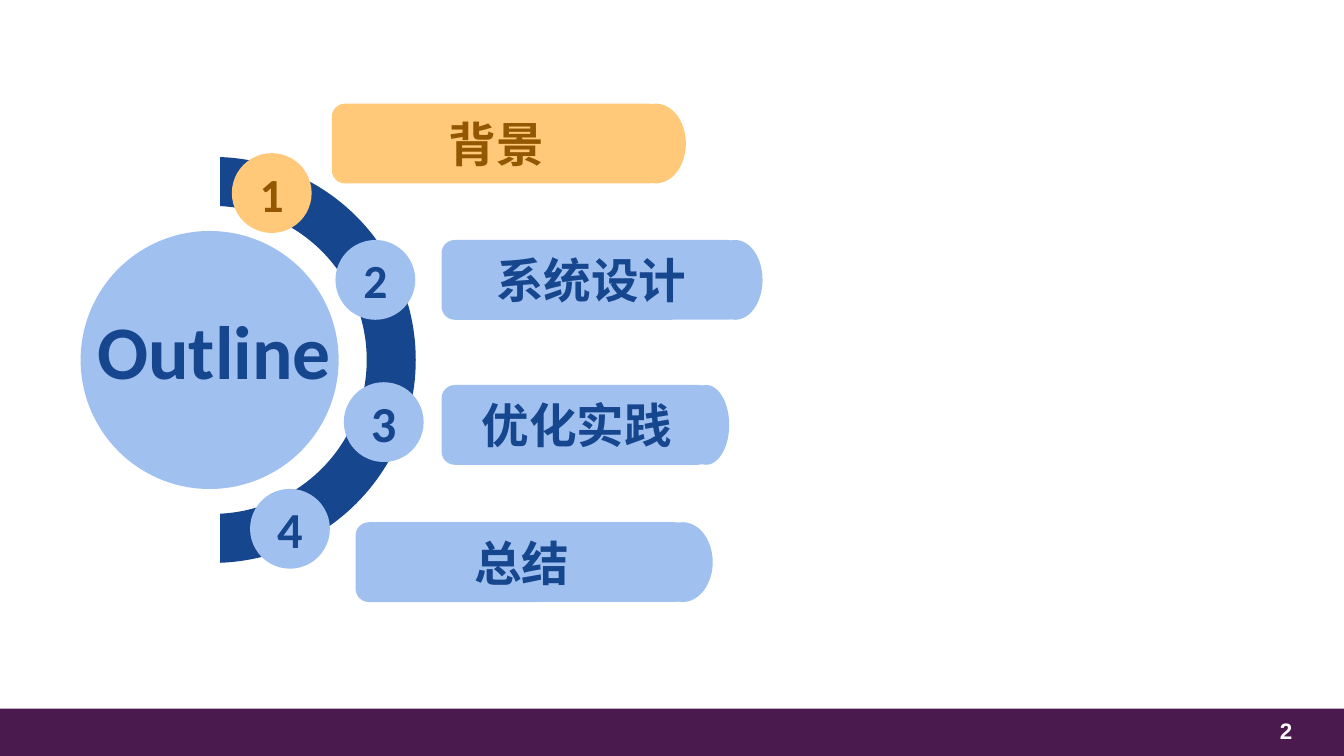
from pptx import Presentation
from pptx.dml.color import RGBColor
from pptx.enum.shapes import MSO_SHAPE
from pptx.enum.text import MSO_ANCHOR, MSO_AUTO_SIZE, PP_ALIGN
from pptx.util import Pt

RECT, OVAL, ROUNDED = MSO_SHAPE.RECTANGLE, MSO_SHAPE.OVAL, MSO_SHAPE.ROUNDED_RECTANGLE
TOP, MIDDLE = MSO_ANCHOR.TOP, MSO_ANCHOR.MIDDLE
CENTER, RIGHT = PP_ALIGN.CENTER, PP_ALIGN.RIGHT
NO_FIT = MSO_AUTO_SIZE.NONE

COLORS = {
    "white": "FFFFFF",
    "plum": "4A194E",
    "navy": "16468D",
    "sky": "A0C0F0",
    "amber": "FFC979",
    "brown": "925700",
}
BADGE = 57
CAP_INSET = 4


class OutlineSlide:
    """Holds the style and the slide, and draws each kind of element."""

    def __init__(self, slide, font="Calibri"):
        self.slide = slide
        self.font = font

    def color(self, name):
        return RGBColor.from_string(COLORS[name])

    def add_text(self, sp, text, size, color, align=CENTER, anchor=MIDDLE, font=None):
        tf = sp.text_frame
        tf.word_wrap = True
        tf.auto_size = NO_FIT
        tf.vertical_anchor = anchor
        p = tf.paragraphs[0]
        p.alignment = align
        r = p.add_run()
        r.text = text
        r.font.name = font or self.font
        r.font.size = Pt(size)
        r.font.bold = True
        r.font.color.rgb = self.color(color)

    def shape(self, kind, x, y, w, h, fill=None, line=None, weight=0):
        sp = self.slide.shapes.add_shape(kind, Pt(x), Pt(y), Pt(w), Pt(h))
        sp.shadow.inherit = False
        if fill:
            sp.fill.solid()
            sp.fill.fore_color.rgb = self.color(fill)
        else:
            sp.fill.background()
        if line:
            sp.line.color.rgb = self.color(line)
            sp.line.width = Pt(weight)
        else:
            sp.line.fill.background()
        return sp

    def title(self, text, x, y, w, h, size, color):
        sp = self.slide.shapes.title
        sp.left, sp.top, sp.width, sp.height = Pt(x), Pt(y), Pt(w), Pt(h)
        self.add_text(sp, text, size, color, anchor=TOP)
        self.slide.shapes._spTree.append(sp._element)

    def badge(self, number, x, y, size, fill, ink):
        sp = self.shape(OVAL, x, y, BADGE, BADGE, fill)
        tf = sp.text_frame
        tf.margin_left = tf.margin_right = tf.margin_top = tf.margin_bottom = 0
        self.add_text(sp, str(number), size, ink)

    def label(self, text, x, y, w, cap, fill, ink):
        self.shape(OVAL, x + w - CAP_INSET - cap / 2, y, cap, BADGE, fill)
        sp = self.shape(ROUNDED, x, y, w, BADGE, fill)
        self.add_text(sp, text, 34, ink)

    def footer(self, number):
        self.shape(RECT, 0, 506.2, 960, 33.8, "plum")
        sp = self.slide.shapes.add_textbox(Pt(717.8), Pt(509), Pt(212.4), Pt(25.2))
        self.add_text(sp, number, 16, "white", align=RIGHT, font="Arial")


def main():
    prs = Presentation()
    prs.slide_width, prs.slide_height = Pt(960), Pt(540)
    s = OutlineSlide(prs.slides.add_slide(prs.slide_layouts[5]))

    s.footer("2")
    s.shape(OVAL, 24.5, 129.6, 255, 255, line="navy", weight=35)
    s.shape(RECT, 0, 80.6, 157, 342, "white")
    s.shape(OVAL, 57.6, 165, 184.3, 184.3, "sky")
    s.title("Outline", 51.8, 213.8, 202.3, 72.7, 54, "navy")

    active, normal = ("amber", "brown"), ("sky", "navy")
    topics = [
        ("背景", (165.6, 109.4, 34), (237, 74, 235.4, 43), active),
        ("系统设计", (239.6, 171.4, 34), (315.4, 171.4, 213.8, 39), normal),
        ("优化实践", (245.6, 273, 36), (315.4, 275, 193, 33), normal),
        ("总结", (178.6, 349.2, 36), (254, 373, 237.6, 43), normal),
    ]
    for number, (text, badge, label, colors) in enumerate(topics, 1):
        s.label(text, *label, *colors)
        s.badge(number, *badge, *colors)

    prs.save("out.pptx")


if __name__ == "__main__":
    main()
